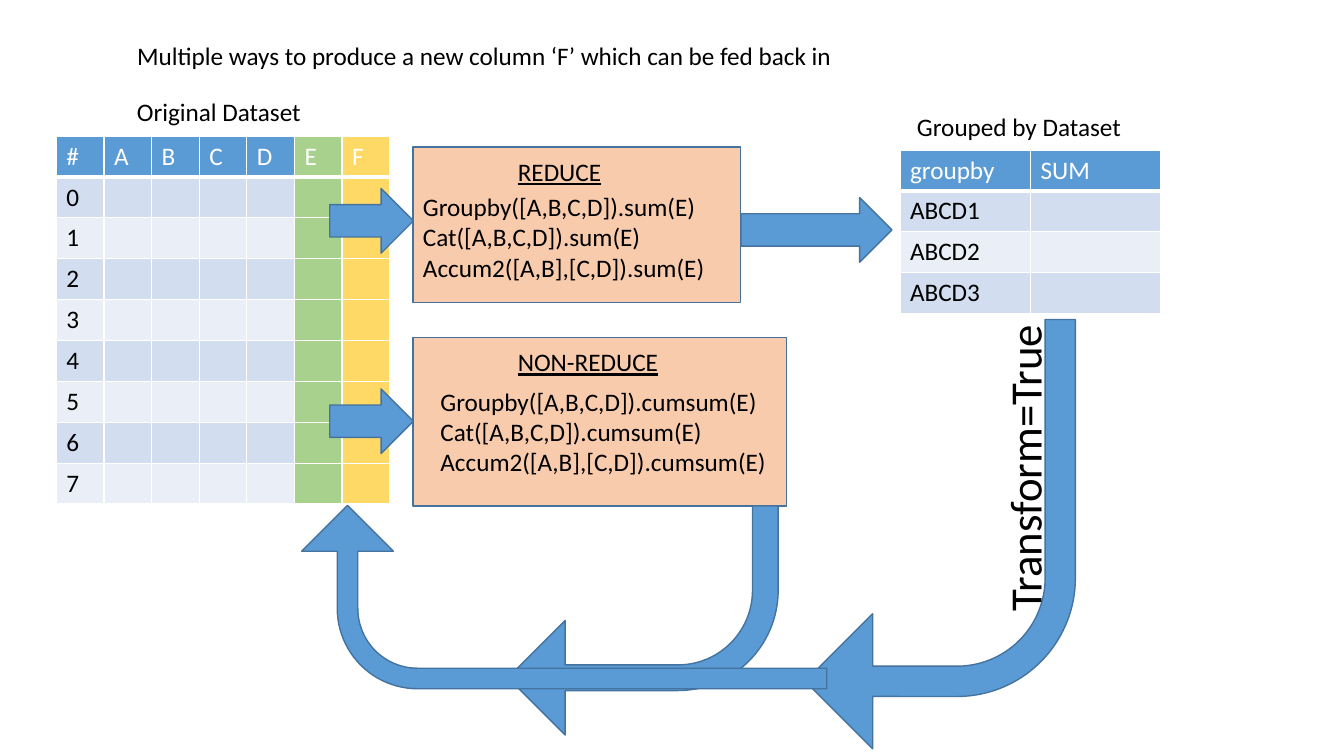
from pptx import Presentation
from pptx.dml.color import RGBColor
from pptx.enum.shapes import MSO_SHAPE
from pptx.enum.text import MSO_ANCHOR, MSO_AUTO_SIZE, PP_ALIGN
from pptx.oxml import parse_xml
from pptx.oxml.ns import nsdecls
from pptx.util import Cm, Pt

COLORS = {
    "text": "000000", "white": "FFFFFF", "blue": "5B9BD5", "outline": "43739E",
    "peach": "F8CBAD", "green": "A9D18E", "yellow": "FFD966",
    "band": "D2DEEF", "light": "EAEFF7",
}
FONT = "Calibri"
ROW_HEIGHT = 1.03
LABEL_HEIGHT = 1.03
ARROW_HEIGHT = 1.63
BEND = (0.112, 0.25, 0.25, 0.438)


def rgb(name):
    return RGBColor.from_string(COLORS[name])


class SlideBuilder:
    def __init__(self, slide):
        self.slide = slide
        self.shapes = slide.shapes

    def run(self, p, text, size=18, color="text", underline=None):
        r = p.add_run()
        r.text = text
        r.font.name = FONT
        r.font.size = Pt(size)
        r.font.color.rgb = rgb(color)
        r.font.underline = underline

    def title(self, text, x, y, w, h):
        sp = self.shapes.title
        sp.left, sp.top, sp.width, sp.height = Cm(x), Cm(y), Cm(w), Cm(h)
        tf = sp.text_frame
        tf.auto_size = MSO_AUTO_SIZE.NONE
        tf.word_wrap = True
        tf.vertical_anchor = MSO_ANCHOR.TOP
        tf.paragraphs[0].alignment = PP_ALIGN.LEFT
        self.run(tf.paragraphs[0], text)

    def text(self, lines, x, y, w, h=LABEL_HEIGHT, size=18, underline=None, rotation=0):
        sp = self.shapes.add_textbox(Cm(x), Cm(y), Cm(w), Cm(h))
        sp.rotation = rotation
        tf = sp.text_frame
        tf.word_wrap = True
        for i, line in enumerate(lines):
            p = tf.add_paragraph() if i else tf.paragraphs[0]
            self.run(p, line, size, underline=underline)

    def shape(self, kind, x, y, w, h, fill="blue", rotation=0, adjustments=()):
        sp = self.shapes.add_shape(kind, Cm(x), Cm(y), Cm(w), Cm(h))
        sp.shadow.inherit = False
        sp.rotation = rotation
        sp.fill.solid()
        sp.fill.fore_color.rgb = rgb(fill)
        sp.line.color.rgb = rgb("outline")
        sp.line.width = Pt(1)
        for i, value in enumerate(adjustments):
            sp.adjustments[i] = value

    def box(self, x, y, w, h):
        self.shape(MSO_SHAPE.RECTANGLE, x, y, w, h, "peach")

    def arrow(self, x, y, w):
        self.shape(MSO_SHAPE.RIGHT_ARROW, x, y, w, ARROW_HEIGHT)

    def bent_arrow(self, x, y, w, h, rotation):
        self.shape(MSO_SHAPE.BENT_ARROW, x, y, w, h, "blue", rotation, BEND)

    def borders(self, cell, bottom):
        tc_pr = cell._tc.get_or_add_tcPr()
        for side, width in (("L", 1), ("R", 1), ("T", 1), ("B", bottom)):
            tc_pr.append(parse_xml(
                f'<a:ln{side} {nsdecls("a")} w="{Pt(width)}"><a:solidFill>'
                f'<a:srgbClr val="{COLORS["white"]}"/></a:solidFill></a:ln{side}>'))

    def table(self, header, labels, x, y, col_width, column_fills=None):
        column_fills = column_fills or {}
        n_rows, n_cols = len(labels) + 1, len(header)
        table = self.shapes.add_table(
            n_rows, n_cols, Cm(x), Cm(y),
            Cm(col_width * n_cols), Cm(ROW_HEIGHT * n_rows)).table
        for column in table.columns:
            column.width = Cm(col_width)
        rows = [header] + [[label] + [""] * (n_cols - 1) for label in labels]
        for i, values in enumerate(rows):
            table.rows[i].height = Cm(ROW_HEIGHT)
            row_fill = "blue" if i == 0 else ("band" if i % 2 else "light")
            for j, value in enumerate(values):
                cell = table.cell(i, j)
                self.borders(cell, 1 if i else 3)
                cell.fill.solid()
                cell.fill.fore_color.rgb = rgb(column_fills.get(header[j], row_fill))
                if value:
                    self.run(cell.text_frame.paragraphs[0], value,
                             color="text" if i else "white")


def formulas(method):
    return [f"{call}.{method}(E)" for call in
            ("Groupby([A,B,C,D])", "Cat([A,B,C,D])", "Accum2([A,B],[C,D])")]


prs = Presentation()
prs.slide_width, prs.slide_height = Cm(33.87), Cm(19.05)
s = SlideBuilder(prs.slides.add_slide(prs.slide_layouts[5]))

s.title("Multiple ways to produce a new column ‘F’ which can be fed back in",
        3.2, 0.89, 22.12, LABEL_HEIGHT)

s.text(["Original Dataset"], 3.2, 2.31, 5.21)
s.table(list("#ABCDEF"), [str(n) for n in range(8)], 1.42, 3.43, 1.2,
        {"E": "green", "F": "yellow"})

s.box(10.41, 3.71, 8.26, 3.91)
s.text(["REDUCE"], 12.8, 3.81, 7.47, underline=True)
s.text(formulas("sum"), 10.41, 4.7, 8.46, 2.57)
s.arrow(18.67, 4.98, 3.81)

s.text(["Grouped by Dataset"], 22.86, 2.69, 5.94)
s.table(["groupby", "SUM"], ["ABCD1", "ABCD2", "ABCD3"], 22.68, 3.78, 3.29)
s.bent_arrow(20.29, 8.05, 6.81, 10.82, 180)
s.text(["Transform=True"], 21.79, 10.82, 8.05, 1.63, size=32, rotation=270)

s.box(10.41, 8.51, 9.42, 4.24)
s.text(["NON-REDUCE"], 12.8, 8.61, 7.47, underline=True)
s.text(formulas("cumsum"), 10.85, 9.6, 9.58, 2.57)
s.bent_arrow(12.8, 12.75, 6.81, 5.77, 180)
s.bent_arrow(11.91, 8.43, 4.62, 13.23, 270)

for y in (4.75, 9.8):
    s.arrow(8.31, y, 2.11)

prs.save("out.pptx")
